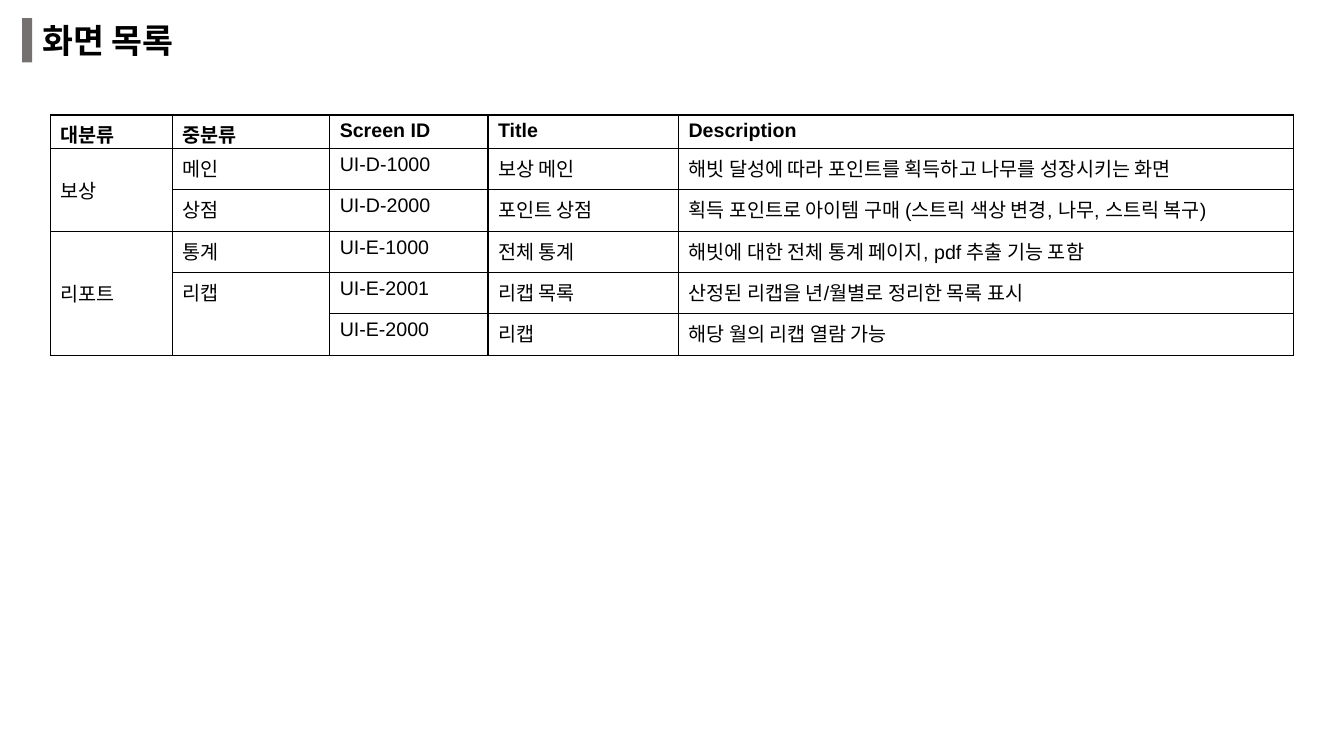
from lxml import etree
from pptx import Presentation
from pptx.dml.color import RGBColor
from pptx.enum.shapes import MSO_SHAPE as Shape
from pptx.enum.text import MSO_ANCHOR as Anchor, MSO_AUTO_SIZE as AutoSize, PP_ALIGN as Align
from pptx.oxml.ns import qn
from pptx.util import Inches, Pt

BLACK = RGBColor(0x00, 0x00, 0x00)
GRAY = RGBColor(0x76, 0x71, 0x71)
TITLE_FONT = "Noto Sans CJK KR"
TABLE_FONT = "Arial"

COLUMN_WIDTHS = [1.21, 1.56, 1.57, 1.89, 6.1]
HEADER_HEIGHT, ROW_HEIGHT = 0.33, 0.41
ROWS = [
    ["대분류", "중분류", "Screen ID", "Title", "Description"],
    ["보상", "메인", "UI-D-1000", "보상 메인", "해빗 달성에 따라 포인트를 획득하고 나무를 성장시키는 화면"],
    ["", "상점", "UI-D-2000", "포인트 상점", "획득 포인트로 아이템 구매 (스트릭 색상 변경, 나무, 스트릭 복구)"],
    ["리포트", "통계", "UI-E-1000", "전체 통계", "해빗에 대한 전체 통계 페이지, pdf 추출 기능 포함"],
    ["", "리캡", "UI-E-2001", "리캡 목록", "산정된 리캡을 년/월별로 정리한 목록 표시"],
    ["", "", "UI-E-2000", "리캡", "해당 월의 리캡 열람 가능"],
]
# First row, last row, column
MERGES = [(1, 2, 0), (3, 5, 0), (4, 5, 1)]


def format_run(run, font_name, size, bold):
    run.font.name = font_name
    run.font.size = Pt(size)
    run.font.bold = bold
    run.font.color.rgb = BLACK


def add_borders(cell):
    properties = cell._tc.get_or_add_tcPr()
    for position, side in enumerate(["lnL", "lnR", "lnT", "lnB"]):
        line = etree.Element(qn(f"a:{side}"), w=str(Pt(1)))
        fill = etree.SubElement(line, qn("a:solidFill"))
        etree.SubElement(fill, qn("a:srgbClr"), val=str(BLACK))
        properties.insert(position, line)


presentation = Presentation()
presentation.slide_width = Inches(13.33)
presentation.slide_height = Inches(7.5)
slide = presentation.slides.add_slide(presentation.slide_layouts[5])

# Title with its accent bar
bar = slide.shapes.add_shape(Shape.RECTANGLE, Inches(0.22), Inches(0.18), Inches(0.1), Inches(0.44))
bar.shadow.inherit = False
bar.fill.solid()
bar.fill.fore_color.rgb = GRAY
bar.line.fill.background()

title = slide.shapes.title
title.left, title.top = Inches(0.32), Inches(0.15)
title.width, title.height = Inches(2.49), Inches(0.49)
title.text_frame.text = "화면 목록"
title.text_frame.auto_size = AutoSize.NONE
title.text_frame.vertical_anchor = Anchor.MIDDLE
title_paragraph = title.text_frame.paragraphs[0]
title_paragraph.alignment = Align.LEFT
title_run = title_paragraph.runs[0]
format_run(title_run, TITLE_FONT, 24, True)
title_run.font._element.find(qn("a:latin")).addnext(
    etree.Element(qn("a:ea"), typeface=TITLE_FONT))

# Screen list table
table = slide.shapes.add_table(
    len(ROWS), len(COLUMN_WIDTHS), Inches(0.5), Inches(1.14), Inches(sum(COLUMN_WIDTHS)),
    Inches(HEADER_HEIGHT + ROW_HEIGHT * (len(ROWS) - 1))).table
table.first_row = False
table.horz_banding = False
for column, width in zip(table.columns, COLUMN_WIDTHS):
    column.width = Inches(width)

for row_index, texts in enumerate(ROWS):
    is_header = row_index == 0
    table.rows[row_index].height = Inches(HEADER_HEIGHT if is_header else ROW_HEIGHT)
    for column_index, text in enumerate(texts):
        cell = table.cell(row_index, column_index)
        cell.fill.background()
        add_borders(cell)
        if is_header:
            cell.margin_bottom = 0
        elif column_index == 0:
            cell.vertical_anchor = Anchor.MIDDLE
        if text:
            cell.text_frame.text = text
            format_run(cell.text_frame.paragraphs[0].runs[0], TABLE_FONT, 14, is_header)

# Category cells that span several rows
for first_row, last_row, column_index in MERGES:
    table.cell(first_row, column_index).merge(table.cell(last_row, column_index))

presentation.save("out.pptx")
